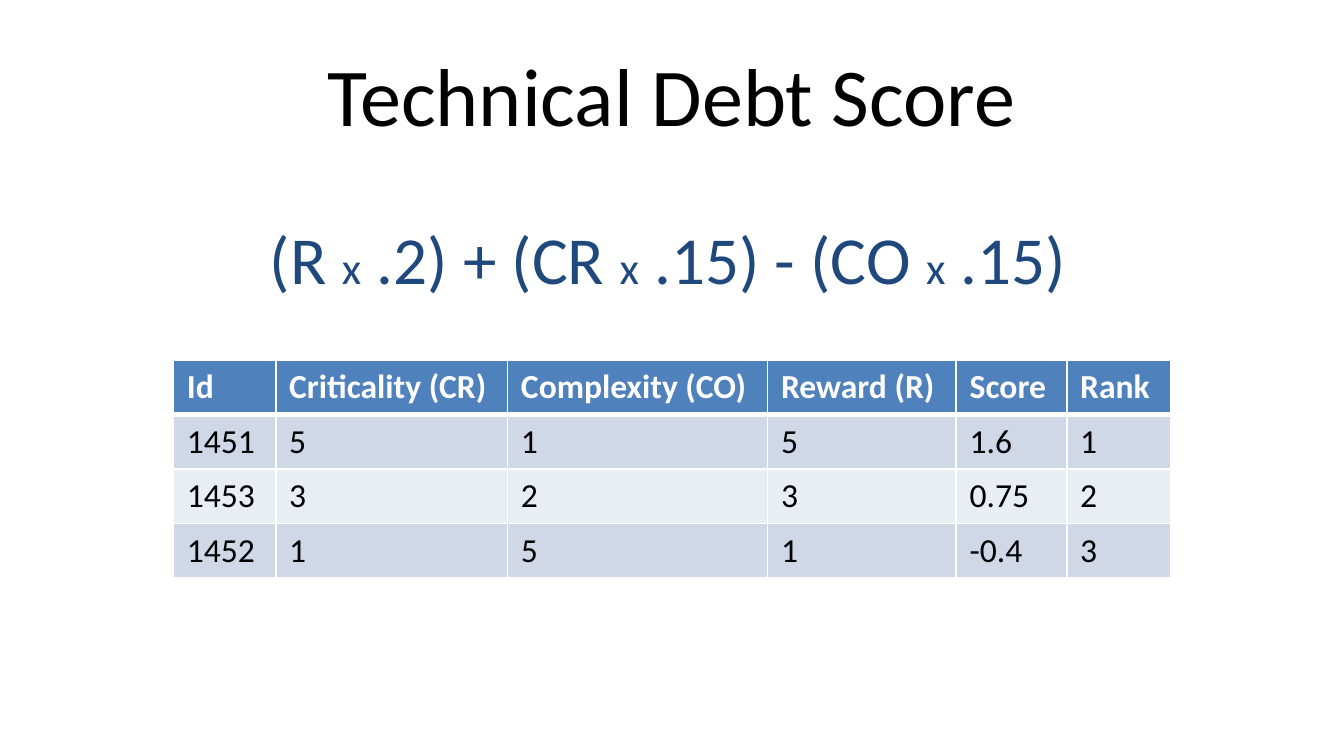
"""Build the technical debt score slide."""
from lxml import etree
from pptx import Presentation, util as u
from pptx.dml.color import RGBColor
from pptx.enum import text as t
from pptx.oxml import ns

TITLE = "Technical Debt Score"
RULE = ["(R ", "x", " .2) + (CR ", "x", " .15) - (CO ", "x", " .15)"]
ROWS = [
    ("Id", "Criticality (CR)", "Complexity (CO)", "Reward (R)", "Score", "Rank"),
    ("1451", "5", "1", "5", "1.6", "1"),
    ("1453", "3", "2", "3", "0.75", "2"),
    ("1452", "1", "5", "1", "-0.4", "3"),
]
WIDE = 10
HIGH = WIDE * 9 / 16
COLS = [0.76, 1.72, 1.93, 1.4, 0.82, 0.77]
SPAN, DEPTH = 7.42, 1.62
THEME = {
    "font": "Calibri", "title": 44, "rule": 36, "times": 24, "cell": 18,
    "ink": "000000", "navy": "1F497D", "white": "FFFFFF",
    "head": "4F81BD", "bands": ("E9EDF4", "D0D8E8"),
}


def style(font, size, color, bold=False):
    """Set face, size, colour and weight."""
    font.name, font.size, font.bold = THEME["font"], u.Pt(size), bold
    font.color.rgb = RGBColor.from_string(color)


def add_box(slide, top, wide, high):
    """Add a text box centred across the slide."""
    left = (WIDE - wide) / 2
    box = slide.shapes.add_textbox(*map(u.Inches, (left, top, wide, high)))
    return box.text_frame


def add_edges(cell, base):
    """Draw white cell borders with the given bottom width."""
    props = cell._tc.get_or_add_tcPr()
    for side, width in zip("LRTB", (1, 1, 1, base)):
        line = etree.SubElement(props, ns.qn("a:ln" + side), w=str(u.Pt(width)))
        fill = etree.SubElement(line, ns.qn("a:solidFill"))
        etree.SubElement(fill, ns.qn("a:srgbClr"), val=THEME["white"])


def add_title(slide):
    """Add the centred title."""
    frame = add_box(slide, 0.23, 0.9 * WIDE, 0.94)
    frame.word_wrap = True
    frame.vertical_anchor = t.MSO_ANCHOR.MIDDLE
    para = frame.paragraphs[0]
    para.text, para.alignment = TITLE, t.PP_ALIGN.CENTER
    style(para.font, THEME["title"], THEME["ink"])


def add_rule(slide):
    """Add the formula with smaller times signs."""
    frame = add_box(slide, 1.57, 6.18, 0.71)
    frame.word_wrap = False
    frame.auto_size = t.MSO_AUTO_SIZE.SHAPE_TO_FIT_TEXT
    para = frame.paragraphs[0]
    for part in RULE:
        run = para.add_run()
        run.text = part
        size = THEME["times" if part == "x" else "rule"]
        style(run.font, size, THEME["navy"])


def add_scores(slide):
    """Add the score table."""
    spot = ((WIDE - SPAN) / 2, 2.68, SPAN, DEPTH)
    grid = slide.shapes.add_table(len(ROWS), len(COLS), *map(u.Inches, spot)).table
    for col, width in zip(grid.columns, COLS):
        col.width = u.Inches(SPAN * width / sum(COLS))
    for r, row in enumerate(ROWS):
        head = r == 0
        fill = THEME["head"] if head else THEME["bands"][r % 2]
        ink = THEME["white" if head else "ink"]
        for c, word in enumerate(row):
            cell = grid.cell(r, c)
            add_edges(cell, 3 if head else 1)
            cell.fill.solid()
            cell.fill.fore_color.rgb = RGBColor.from_string(fill)
            cell.text = word
            style(cell.text_frame.paragraphs[0].font, THEME["cell"], ink, head)


def main():
    """Build and save the deck."""
    deck = Presentation()
    deck.slide_width, deck.slide_height = u.Inches(WIDE), u.Inches(HIGH)
    slide = deck.slides.add_slide(deck.slide_layouts[6])
    add_title(slide)
    add_rule(slide)
    add_scores(slide)
    deck.save("out.pptx")


if __name__ == "__main__":
    main()
